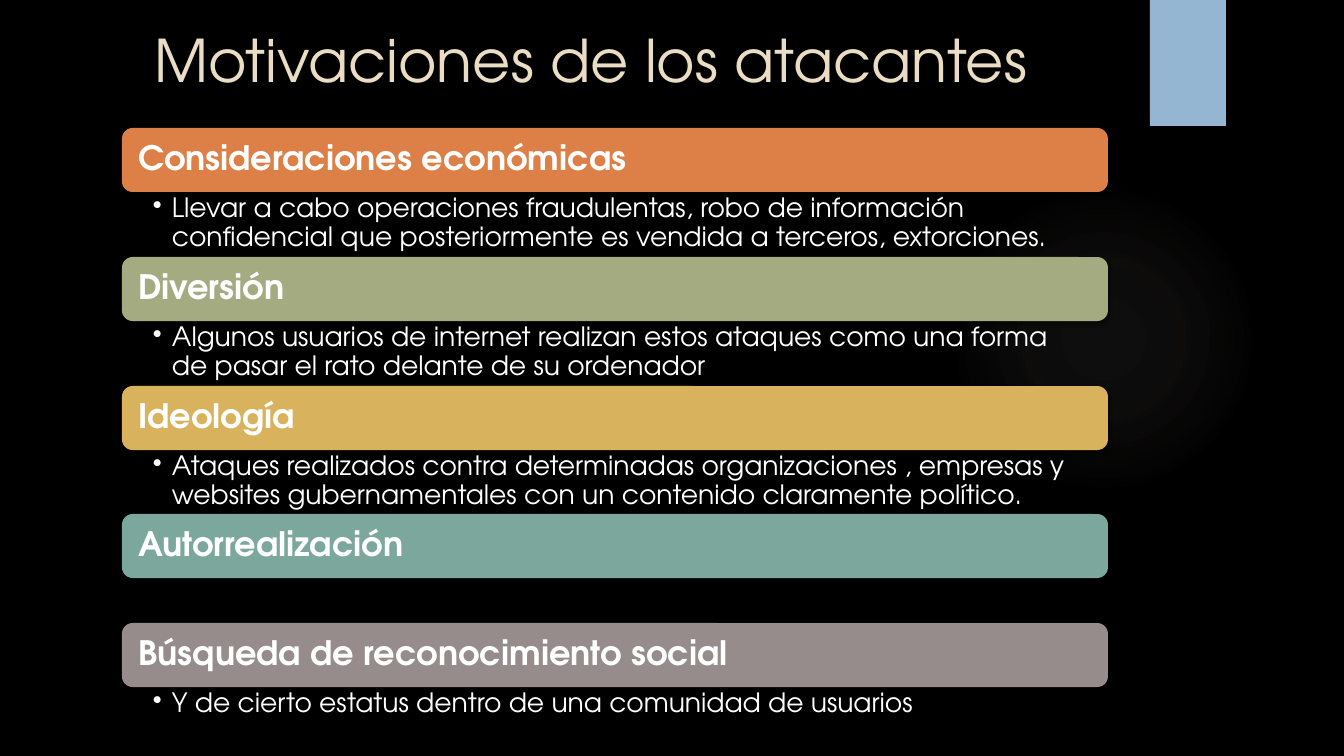
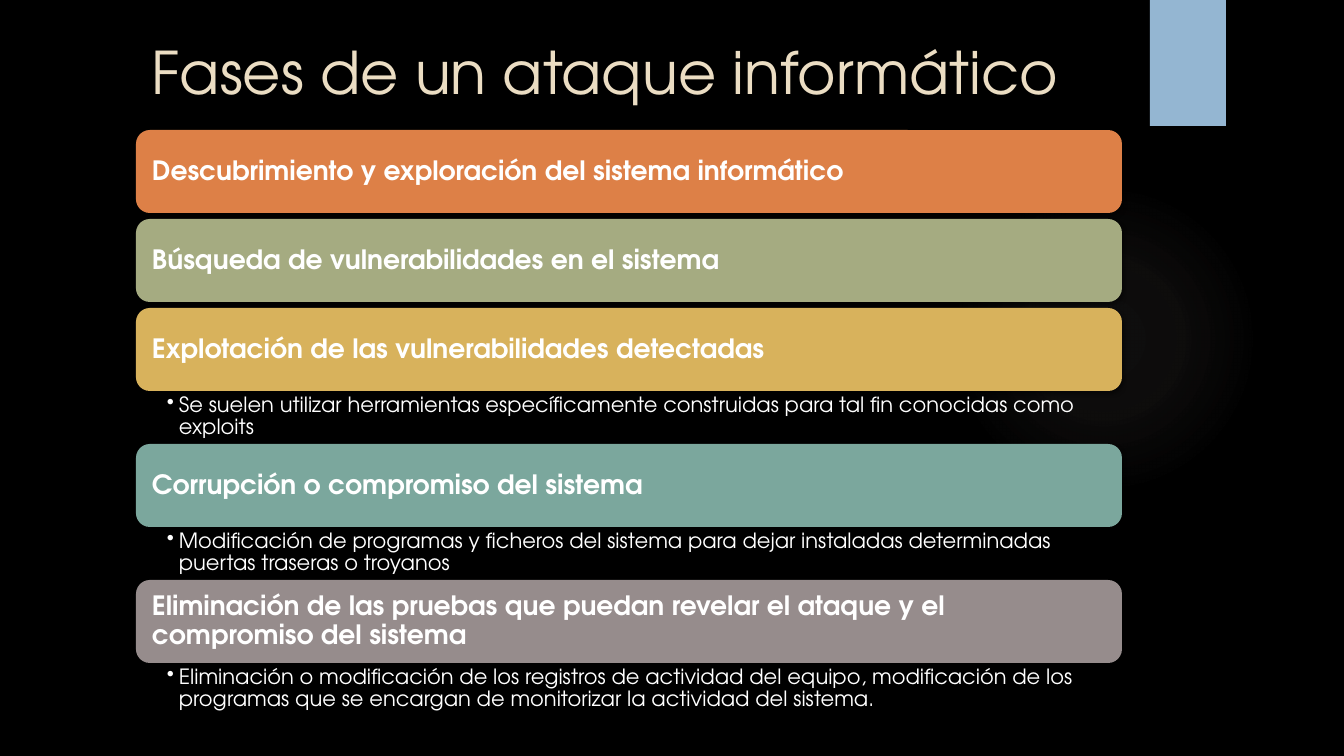
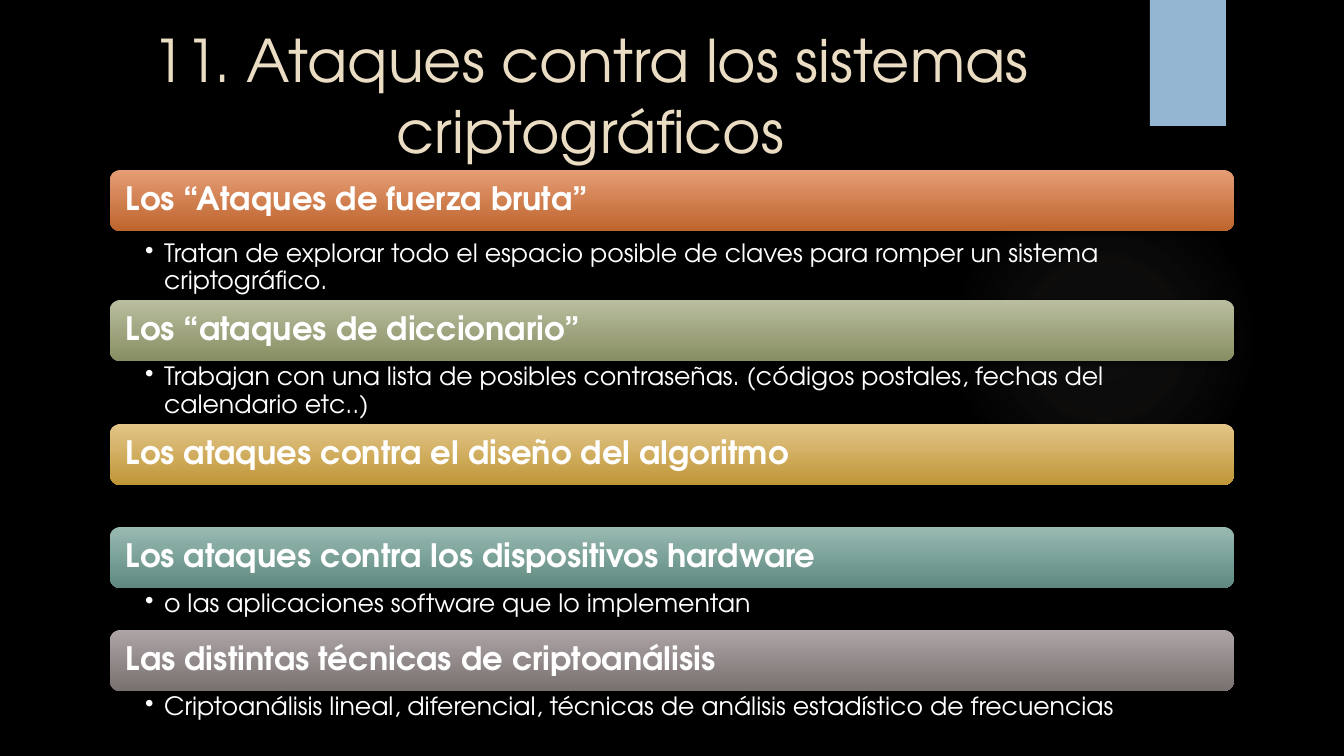
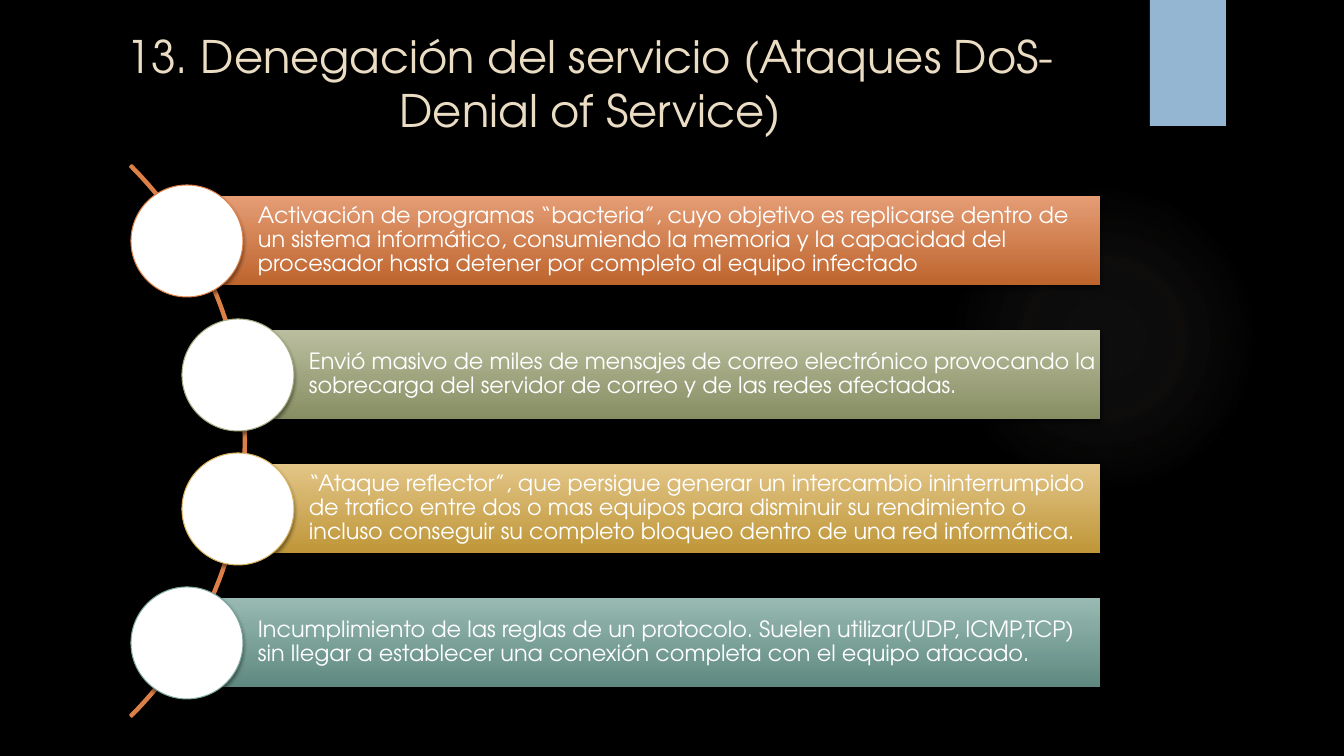
from typing import NamedTuple

from lxml import etree
from pptx import Presentation
from pptx.dml.color import RGBColor
from pptx.enum.shapes import MSO_SHAPE
from pptx.enum.text import MSO_ANCHOR, PP_ALIGN
from pptx.oxml import parse_xml
from pptx.oxml.ns import qn
from pptx.util import Emu, Pt

RECTANGLE = MSO_SHAPE.RECTANGLE
ROUNDED = MSO_SHAPE.ROUNDED_RECTANGLE
OVAL = MSO_SHAPE.OVAL
BLOCK_ARC = MSO_SHAPE.BLOCK_ARC
TOP = MSO_ANCHOR.TOP
MIDDLE = MSO_ANCHOR.MIDDLE
CENTER = PP_ALIGN.CENTER
LEFT = PP_ALIGN.LEFT

PX_PER_INCH = 100.8
DRAWING_NS = "http://schemas.openxmlformats.org/drawingml/2006/main"

FONT = "TeX Gyre Adventor"
BLACK = "000000"
WHITE = "FFFFFF"
CREAM = "EBDDC3"
RIBBON_BLUE = "94B6D2"
GLOW = "CCBEB8"


class Accent(NamedTuple):
    base: str
    light: str
    dark: str


ACCENTS = [
    Accent("DD8047", "E59D75", "BE642D"),
    Accent("A5AB81", "BABE9F", "888E63"),
    Accent("D8B25C", "E2C587", "BF9638"),
    Accent("7BA79D", "98BAB2", "5F8980"),
    Accent("968C8C", "ADA5A5", "797070"),
]


class Topic(NamedTuple):
    """A heading bar; slot is the height kept below it for the detail."""
    heading: str
    slot: int
    detail: str = ""
    lead: int = 0


class ListStyle(NamedTuple):
    left: int
    top: int
    width: int
    bar_height: int
    bar_inset: int
    heading_size: int
    detail_size: int
    detail_left: int
    detail_right: int
    hang: int
    gradient: bool = False


MOTIVES_STYLE = ListStyle(122, 128, 986, 64, 13, 24, 19, 31, 19, 19)
MOTIVES = [
    Topic("Consideraciones económicas", 65,
          "Llevar a cabo operaciones fraudulentas, robo de información confidencial "
          "que posteriormente es vendida a terceros, extorciones."),
    Topic("Diversión", 65,
          "Algunos usuarios de internet realizan estos ataques como una forma de pasar "
          "el rato delante de su ordenador"),
    Topic("Ideología", 64,
          "Ataques realizados contra determinadas organizaciones , empresas y websites "
          "gubernamentales con un contenido claramente político."),
    Topic("Autorrealización", 45),
    Topic("Búsqueda de reconocimiento social", 45,
          "Y de cierto estatus dentro de una comunidad de usuarios"),
]

PHASES_STYLE = ListStyle(136, 130, 986, 83, 12, 19, 15, 31, 15, 12)
PHASES = [
    Topic("Descubrimiento y exploración del sistema informático", 6),
    Topic("Búsqueda de vulnerabilidades en el sistema", 6),
    Topic("Explotación de las vulnerabilidades detectadas", 53,
          "Se suelen utilizar herramientas específicamente construidas para tal fin "
          "conocidas como exploits"),
    Topic("Corrupción o compromiso del sistema", 53,
          "Modificación de programas y ficheros del sistema para dejar instaladas "
          "determinadas puertas traseras o troyanos"),
    Topic("Eliminación de las pruebas que puedan revelar el ataque y el compromiso "
          "del sistema", 53,
          "Eliminación o modificación de los registros de actividad del equipo, "
          "modificación de los programas que se encargan de monitorizar la actividad "
          "del sistema."),
]

CRYPTO_STYLE = ListStyle(110, 170, 1124, 61, 13, 23, 18, 35, 18, 19, gradient=True)
CRYPTO_ATTACKS = [
    Topic("Los “Ataques de fuerza bruta”", 69,
          "Tratan de explorar todo el espacio posible de claves para romper un sistema "
          "criptográfico.", lead=7),
    Topic("Los “ataques de diccionario”", 63,
          "Trabajan con una lista de posibles contraseñas. (códigos postales, fechas "
          "del calendario etc..)"),
    Topic("Los ataques contra el diseño del algoritmo", 42),
    Topic("Los ataques contra los dispositivos hardware", 42,
          "o las aplicaciones software que lo implementan"),
    Topic("Las distintas técnicas de criptoanálisis", 42,
          "Criptoanálisis lineal, diferencial, técnicas de análisis estadístico de "
          "frecuencias"),
]

DENIAL_METHODS = [
    "Activación de programas “bacteria”, cuyo objetivo es replicarse dentro de un "
    "sistema informático, consumiendo la memoria y la capacidad del procesador hasta "
    "detener por completo al equipo infectado",
    "Envió masivo de miles de mensajes de correo electrónico provocando la sobrecarga "
    "del servidor de correo y de las redes afectadas.",
    "“Ataque reflector”, que persigue generar un intercambio ininterrumpido de trafico "
    "entre dos o mas equipos para disminuir su rendimiento o incluso conseguir su "
    "completo bloqueo dentro de una red informática.",
    "Incumplimiento de las reglas de un protocolo. Suelen utilizar(UDP, ICMP,TCP) sin "
    "llegar a establecer una conexión completa con el equipo atacado.",
]


def px(length):
    return Emu(round(length * 914400 / PX_PER_INCH))


def rgb(color):
    return RGBColor.from_string(color)


def add_shadow(shape):
    effects = shape._element.spPr.find(qn("a:effectLst"))
    effects.append(parse_xml(
        f'<a:outerShdw xmlns:a="{DRAWING_NS}" blurRad="{Pt(3)}" dist="{Pt(2)}" '
        f'dir="5400000" algn="ctr" rotWithShape="0"><a:srgbClr val="{BLACK}">'
        '<a:alpha val="45000"/></a:srgbClr></a:outerShdw>'))


def add_form(page, kind, left, top, width, height, fill=None, line=None, weight=0.75,
             shadow=True):
    """Add a preset shape; fill is a colour, an Accent for a gradient, or None."""
    shape = page.shapes.add_shape(kind, px(left), px(top), px(width), px(height))
    shape.shadow.inherit = False
    if isinstance(fill, Accent):
        shape.fill.gradient()
        shape.fill.gradient_angle = 270
        for stop, color in zip(shape.fill.gradient_stops, (fill.light, fill.dark)):
            stop.color.rgb = rgb(color)
    elif fill:
        shape.fill.solid()
        shape.fill.fore_color.rgb = rgb(fill)
    else:
        shape.fill.background()
    if line:
        shape.line.color.rgb = rgb(line)
        shape.line.width = Pt(weight)
    else:
        shape.line.fill.background()
    if shadow:
        add_shadow(shape)
    return shape


def write(shape, text, size, insets, color=WHITE, bold=False, align=LEFT,
          anchor=MIDDLE, spacing=0.9, hang=0):
    """Fill a shape with one paragraph; insets run left, top, right, bottom and a
    hang above zero makes the paragraph a bullet."""
    frame = shape.text_frame
    frame.word_wrap = True
    frame.vertical_anchor = anchor
    frame.margin_left, frame.margin_top, frame.margin_right, frame.margin_bottom = map(
        px, insets)
    frame.text = text
    para = frame.paragraphs[0]
    if hang:
        properties = para._p.get_or_add_pPr()
        properties.set("marL", str(px(hang)))
        properties.set("indent", str(-px(hang)))
        etree.SubElement(properties, qn("a:buChar")).set("char", "•")
    para.alignment = align
    para.line_spacing = spacing
    for span in para.runs:
        span.font.name = FONT
        span.font.size = Pt(size)
        span.font.bold = bold
        span.font.color.rgb = rgb(color)


def add_text_box(page, left, top, width, height):
    return page.shapes.add_textbox(px(left), px(top), px(width), px(height))


def add_glow(page):
    glow = add_form(page, OVAL, 949, 184, 310, 310, shadow=False)
    stops = "".join(
        f'<a:gs pos="{place}000"><a:srgbClr val="{GLOW}"><a:alpha val="{alpha}000"/>'
        '</a:srgbClr></a:gs>' for place, alpha in ((0, 7), (36, 6), (69, 0)))
    properties = glow._element.spPr
    properties.replace(properties.find(qn("a:noFill")), parse_xml(
        f'<a:gradFill xmlns:a="{DRAWING_NS}"><a:gsLst>{stops}</a:gsLst>'
        '<a:path path="circle"><a:fillToRect l="50000" t="50000" r="50000" b="50000"/>'
        '</a:path></a:gradFill>'))


def add_page(deck, title, left=72, top=19, height=91, size=42):
    """Add a slide with the shared glow, ribbon and title."""
    page = deck.slides.add_slide(deck.slide_layouts[6])
    add_glow(page)
    add_form(page, RECTANGLE, 1150, 0, 76, 126, RIBBON_BLUE)
    box = add_text_box(page, left, top, 1037, height)
    write(box, title, size, (10, 5, 10, 5), CREAM, align=CENTER, anchor=TOP, spacing=1)
    return page


def add_topic_list(page, topics, style):
    top = style.top
    inset = style.bar_inset
    for topic, accent in zip(topics, ACCENTS):
        bar = add_form(page, ROUNDED, style.left, top, style.width, style.bar_height,
                       accent if style.gradient else accent.base)
        write(bar, topic.heading, style.heading_size, (inset,) * 4, bold=True)
        top += style.bar_height
        if topic.detail:
            box = add_text_box(page, style.left, top + topic.lead, style.width,
                               topic.slot - topic.lead)
            write(box, topic.detail, style.detail_size,
                  (style.detail_left, 3, style.detail_right, 3), anchor=TOP,
                  hang=style.hang)
        top += topic.slot


def add_arc_list(page, items):
    """Bars that start at white discs strung along an arc."""
    arc = add_form(page, BLOCK_ARC, -534, 51, 780, 780, line=ACCENTS[0].base,
                   weight=1.5, shadow=False)
    for index, value in enumerate((189, 27, 0.003)):
        arc.adjustments[index] = value
    disc, bar_height, right = 112, 89, 1100
    for index, (item, accent) in enumerate(zip(items, ACCENTS)):
        left = 187 if index in (0, len(items) - 1) else 238
        top = 196 + 134 * index
        bar = add_form(page, RECTANGLE, left, top, right - left, bar_height, accent)
        write(bar, item, 16, (71, 4, 4, 4))
        add_form(page, OVAL, left - disc // 2, top - (disc - bar_height) // 2, disc,
                 disc, WHITE, accent.base)


def main():
    deck = Presentation()
    deck.slide_width, deck.slide_height = px(1344), px(756)
    background = deck.slide_master.background.fill
    background.solid()
    background.fore_color.rgb = rgb(BLACK)

    page = add_page(deck, "Motivaciones de los atacantes")
    add_topic_list(page, MOTIVES, MOTIVES_STYLE)

    page = add_page(deck, "Fases de un ataque informático", left=86, top=31, height=84)
    add_topic_list(page, PHASES, PHASES_STYLE)

    page = add_page(deck, "11. Ataques contra los sistemas criptográficos", height=130)
    add_topic_list(page, CRYPTO_ATTACKS, CRYPTO_STYLE)

    page = add_page(deck, "13. Denegación del servicio (Ataques DoS-Denial of Service)",
                    top=24, height=128, size=32)
    add_arc_list(page, DENIAL_METHODS)

    deck.save("out.pptx")


if __name__ == "__main__":
    main()
